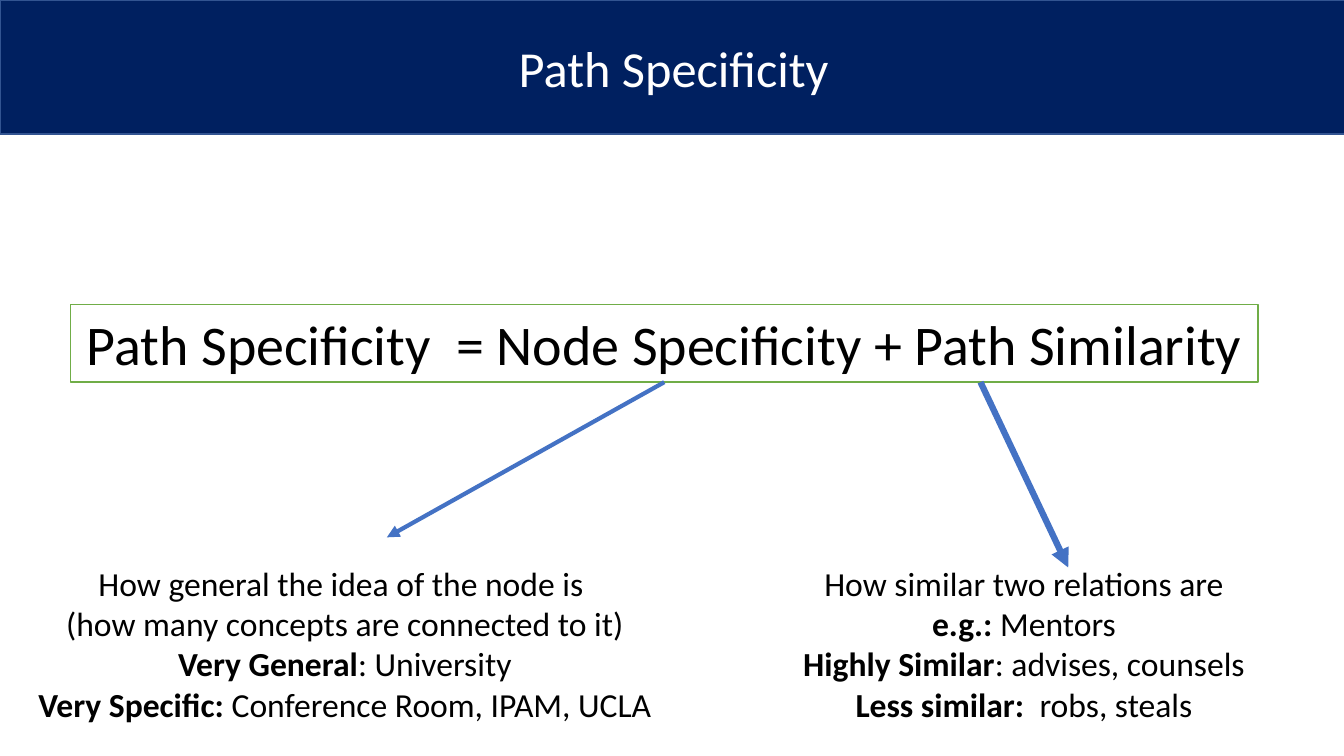
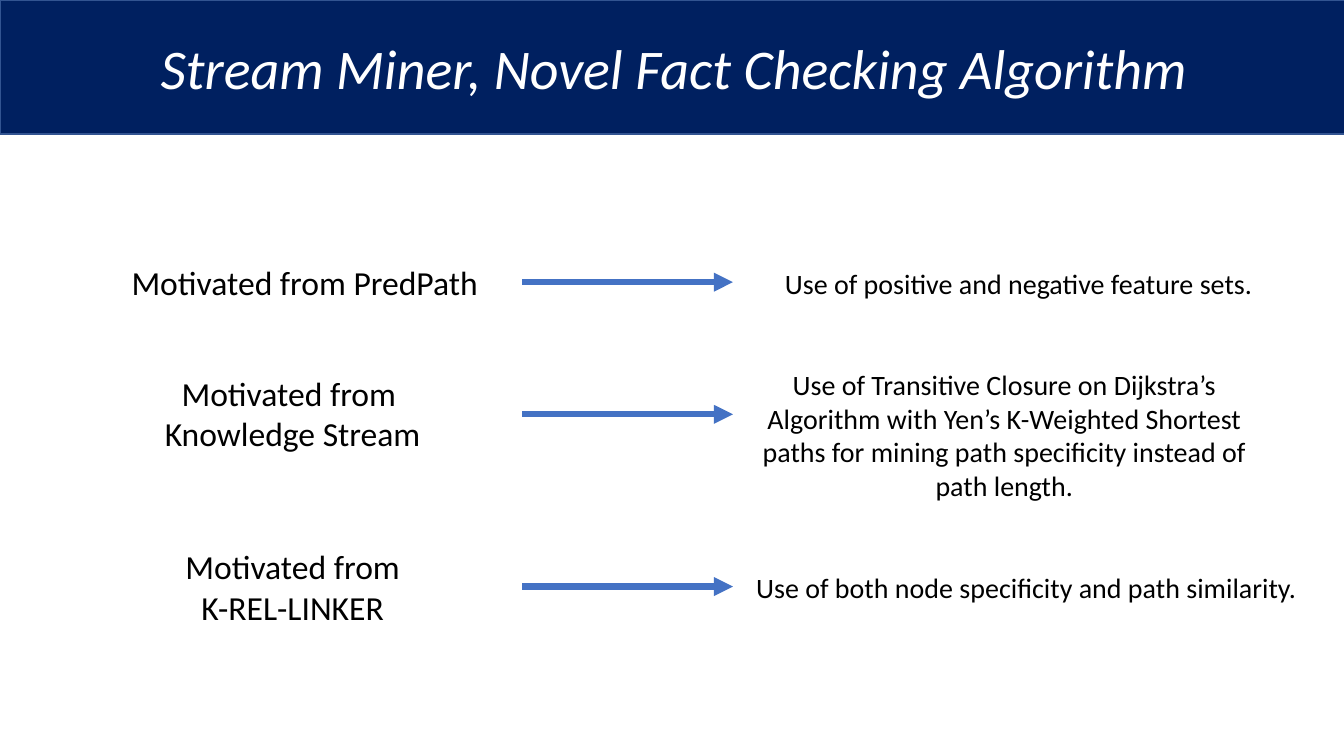
from pptx import Presentation
from pptx.dml.color import RGBColor
from pptx.enum.shapes import MSO_CONNECTOR, MSO_SHAPE
from pptx.enum.text import MSO_ANCHOR, PP_ALIGN
from pptx.oxml.ns import qn
from pptx.util import Cm, Pt
from lxml.etree import SubElement

# Shared look
FONT = "Calibri"
NAVY = RGBColor(0x00, 0x20, 0x60)
BAND_EDGE = RGBColor(0x32, 0x54, 0x91)
BLUE = RGBColor(0x44, 0x72, 0xC4)
GREEN = RGBColor(0x70, 0xAD, 0x47)
WHITE = RGBColor(0xFF, 0xFF, 0xFF)
BLACK = RGBColor(0x00, 0x00, 0x00)


def write_lines(frame, lines, size, color=BLACK, italic=None):
    """Write centred lines; each is a string or a (bold lead, rest) pair."""
    for index, line in enumerate(lines):
        para = frame.paragraphs[0] if index == 0 else frame.add_paragraph()
        para.alignment = PP_ALIGN.CENTER
        para.font.name = FONT
        para.font.size = Pt(size)
        para.font.color.rgb = color
        para.font.italic = italic
        lead, rest = line if isinstance(line, tuple) else ("", line)
        if lead:
            span = para.add_run()
            span.text = lead
            span.font.bold = True
        para.add_run().text = rest


def add_text(page, left, top, width, height, lines, size, wrap=False):
    box = page.shapes.add_textbox(Cm(left), Cm(top), Cm(width), Cm(height))
    box.text_frame.word_wrap = wrap
    write_lines(box.text_frame, lines, size)


def add_panel(page, left, top, width, height, fill, edge):
    panel = page.shapes.add_shape(
        MSO_SHAPE.RECTANGLE, Cm(left), Cm(top), Cm(width), Cm(height))
    panel.shadow.inherit = False
    panel.fill.solid()
    panel.fill.fore_color.rgb = fill
    panel.line.color.rgb = edge
    panel.line.width = Pt(1)
    panel.text_frame.vertical_anchor = MSO_ANCHOR.MIDDLE
    return panel


def add_arrow(page, start, end, weight=4.5):
    arrow = page.shapes.add_connector(
        MSO_CONNECTOR.STRAIGHT, *(Cm(value) for value in start + end))
    arrow.line.color.rgb = BLUE
    arrow.line.width = Pt(weight)
    SubElement(arrow.line._get_or_add_ln(), qn("a:tailEnd"), type="triangle")
    SubElement(arrow._element.spPr, qn("a:effectLst"))
    return arrow


def add_page(deck, title, size, italic=None):
    """Add a blank page with the title band."""
    page = deck.slides.add_slide(deck.slide_layouts[6])
    band = add_panel(page, 0, 0, 33.96, 3.38, NAVY, BAND_EDGE)
    write_lines(band.text_frame, [title], size, WHITE, italic)
    return page


def build_path_specificity(deck):
    page = add_page(deck, "Path Specificity", 36)

    # Formula and the arrows to its two terms
    formula = add_panel(page, 1.78, 7.67, 29.92, 1.96, WHITE, GREEN)
    formula.text_frame.word_wrap = False
    write_lines(formula.text_frame,
                ["Path Specificity  = Node Specificity + Path Similarity"], 40)
    node_arrow = add_arrow(page, (16.74, 9.63), (9.75, 13.54), weight=3)
    node_arrow.begin_connect(formula, 2)
    add_arrow(page, (24.71, 9.63), (26.92, 14.3))

    # Explanations
    add_text(page, 0.64, 14.05, 16.1, 4.37, [
        "How general the idea of the node is ",
        "(how many concepts are connected to it)",
        ("Very General", ": University"),
        ("Very Specific: ", "Conference Room, IPAM, UCLA"),
    ], 24)
    add_text(page, 19.94, 14.05, 11.73, 4.37, [
        "How similar two relations are",
        ("e.g.: ", "Mentors"),
        ("Highly Similar", ": advises, counsels"),
        ("Less similar:  ", "robs, steals"),
    ], 24)


def build_stream_miner(deck):
    page = add_page(deck, "Stream Miner, Novel Fact Checking Algorithm", 40,
                    italic=True)

    # Each row: motivation box and lines, arrow height, use box and text
    rows = [
        ((3.02, 6.48, 9.32, 1.27), ["Motivated from PredPath"], 7.11,
         (19.46, 6.6, 12.42, 1.12),
         "Use of positive and negative feature sets."),
        ((2.13, 9.27, 10.49, 2.31), ["Motivated from ", "Knowledge Stream"],
         10.44, (18.67, 9.14, 13.28, 3.68),
         "Use of Transitive Closure on Dijkstra’s Algorithm with Yen’s "
         "K-Weighted Shortest paths for mining path specificity instead of "
         "path length."),
        ((4.29, 13.64, 6.17, 2.31), ["Motivated from", "K-REL-LINKER"], 14.78,
         (17.32, 14.25, 17.09, 1.12),
         "Use of both node specificity and path similarity."),
    ]
    for motive_area, motive, arrow_y, use_area, use in rows:
        add_text(page, *motive_area, motive, 24)
        add_arrow(page, (13.16, arrow_y), (18.47, arrow_y))
        add_text(page, *use_area, [use], 20, wrap=True)


def main():
    deck = Presentation()
    deck.slide_width, deck.slide_height = Cm(33.87), Cm(19.05)
    build_path_specificity(deck)
    build_stream_miner(deck)
    deck.save("out.pptx")


if __name__ == "__main__":
    main()
